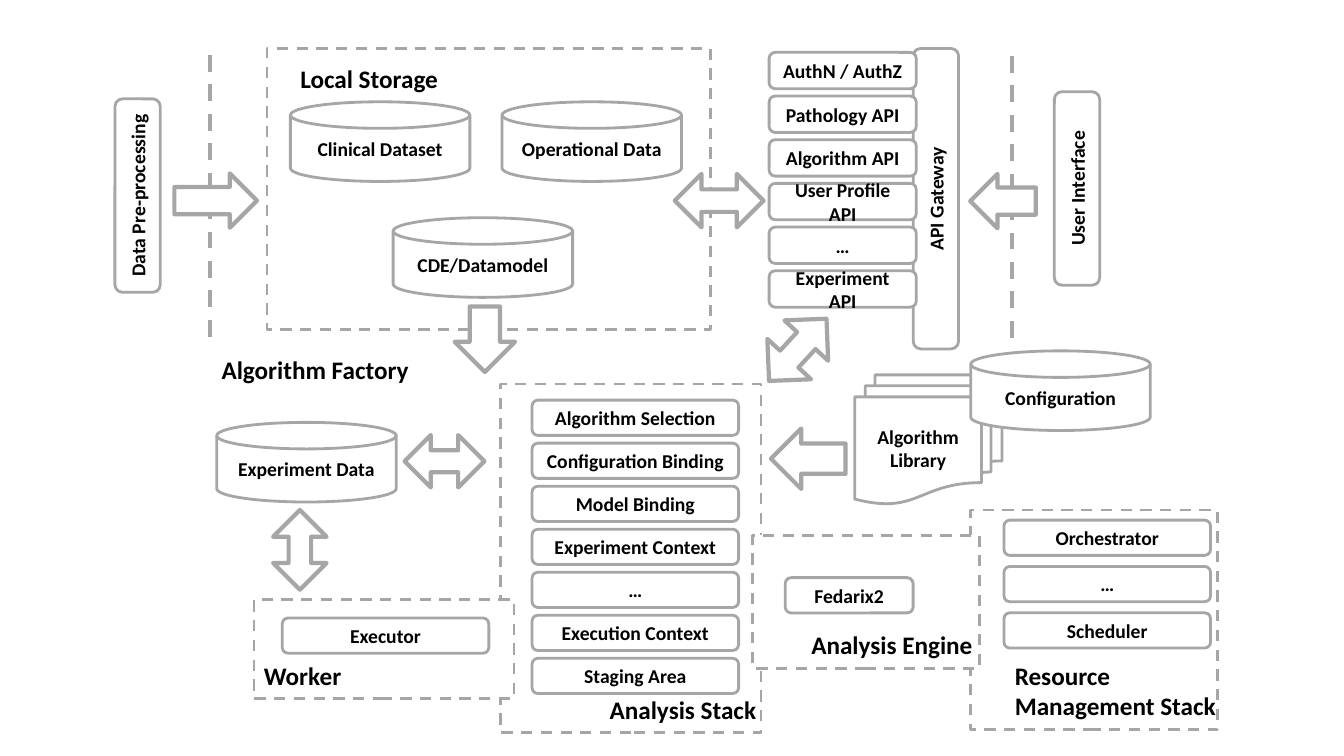
from dataclasses import dataclass

from lxml.etree import SubElement
from pptx import Presentation
from pptx.dml.color import RGBColor
from pptx.enum.dml import MSO_LINE_DASH_STYLE as Dash
from pptx.enum.shapes import MSO_CONNECTOR as Connector, MSO_SHAPE as Preset
from pptx.enum.text import MSO_ANCHOR as Anchor, PP_ALIGN as Align
from pptx.oxml.ns import qn
from pptx.util import Pt


@dataclass(frozen=True)
class Theme:
    font: str = "Calibri"
    ink: RGBColor = RGBColor(0, 0, 0)
    paper: RGBColor = RGBColor(255, 255, 255)
    outline: RGBColor = RGBColor(0xA6, 0xA6, 0xA6)
    body: int = 14
    heading: int = 18
    thin: int = 2
    thick: int = 3


class Diagram:
    """Draws the elements of an architecture diagram on one slide."""

    def __init__(self, slide, theme):
        self.slide, self.theme = slide, theme

    def stroke(self, line, width, dash=None):
        line.color.rgb = self.theme.outline
        for name, value in {"width": Pt(width), "dash_style": dash}.items():
            setattr(line, name, value)

    def label(self, shape, text, size, align, anchor, wrap=True):
        frame = shape.text_frame
        for name, value in {"word_wrap": wrap, "vertical_anchor": anchor}.items():
            setattr(frame, name, value)
        paragraph = frame.paragraphs[0]
        paragraph.alignment = align
        run = paragraph.add_run()
        run.text = text
        for name, value in {"name": self.theme.font, "size": Pt(size), "bold": True}.items():
            setattr(run.font, name, value)
        run.font.color.rgb = self.theme.ink

    def shape(self, preset, box, text="", width=None, dash=None):
        shape = self.slide.shapes.add_shape(preset, *map(Pt, box))
        shape.shadow.inherit = False
        shape.fill.solid()
        shape.fill.fore_color.rgb = self.theme.paper
        self.stroke(shape.line, width or self.theme.thin, dash)
        if text:
            self.label(shape, text, self.theme.body, Align.CENTER, Anchor.MIDDLE)
        return shape

    def frame(self, *box):
        self.shape(Preset.RECTANGLE, box, dash=Dash.DASH)

    def disk(self, text, left, top):
        self.shape(Preset.FLOWCHART_MAGNETIC_DISK, (left, top, 128.2, 56.9), text)

    def card(self, text, left, top, width=147.6, height=25.2):
        self.shape(Preset.ROUNDED_RECTANGLE, (left, top, width, height), text)

    def stack(self, texts, left, top, pitch, **size):
        for index, text in enumerate(texts):
            self.card(text, left, top + index * pitch, **size)

    def bar(self, text, left, top, height=138.2):
        shape = self.shape(Preset.ROUNDED_RECTANGLE, (left, top, 32.4, height), text)
        shape.element.txBody.bodyPr.set("vert", "vert270")

    def arrow(self, preset, rotation, *box):
        shape = self.shape(preset, box, width=self.theme.thick)
        shape.rotation = rotation
        if preset == Preset.UP_DOWN_ARROW:
            shape.adjustments[1] = 0.42

    def divider(self, left, top):
        ends = map(Pt, (left, top + 205.2, left, top))
        line = self.slide.shapes.add_connector(Connector.STRAIGHT, *ends)
        self.stroke(line.line, self.theme.thick, Dash.DASH)
        SubElement(line.element.spPr, qn("a:effectLst"))

    def heading(self, text, left, top, width, height=28.8, wrap=False):
        box = self.slide.shapes.add_textbox(*map(Pt, (left, top, width, height)))
        self.label(box, text, self.theme.heading, Align.LEFT, Anchor.TOP, wrap)


presentation = Presentation()
presentation.slide_width, presentation.slide_height = Pt(960), Pt(540)
slide = presentation.slides.add_slide(presentation.slide_layouts[6])
diagram = Diagram(slide, Theme())

for box in (
    (693.4, 364.3, 176.4, 157),
    (190.8, 34.6, 316.8, 200.9),
    (357.8, 274.3, 185.8, 249.1),
    (181.4, 428.4, 185.8, 70.6),
    (537.8, 382.3, 162, 95),
):
    diagram.frame(*box)

diagram.divider(149.8, 35.3)
diagram.divider(722.9, 36)

diagram.bar("Data Pre-processing", 82.1, 70.6)
diagram.bar("User Interface", 753.1, 65.5)
diagram.bar("API Gateway", 652.3, 34.6, 214.6)

diagram.shape(Preset.FLOWCHART_MULTIDOCUMENT, (610.6, 267.8, 105.1, 92.2), "Algorithm Library")
for text, left, top in (
    ("Clinical Dataset", 207.4, 72.7),
    ("Operational Data", 358.6, 72.7),
    ("CDE/Datamodel", 280.8, 155.5),
    ("Configuration", 693.4, 250.6),
    ("Experiment Data", 154.8, 301.7),
):
    diagram.disk(text, left, top)

apis = ("AuthN / AuthZ", "Pathology API", "Algorithm API", "User Profile API", "…", "Experiment API")
steps = ("Algorithm Selection", "Configuration Binding", "Model Binding", "Experiment Context",
         "…", "Execution Context", "Staging Area")
diagram.stack(apis, 549.4, 37.4, 31.2, width=105.1, height=26)
diagram.stack(steps, 380, 285.8, 30.73)
diagram.stack(("Orchestrator", "…", "Scheduler"), 717.1, 371.5, 33.1)
diagram.card("Executor", 201.6, 441.4)
diagram.card("Fedarix2", 560.9, 412.6, width=91.4)

for preset, rotation, *box in (
    (Preset.UP_ARROW, 90, 134.6, 113.8, 38.9, 59),
    (Preset.UP_ARROW, 180, 324.7, 218.9, 43.2, 46.8),
    (Preset.UP_ARROW, 270, 697, 120.2, 38.9, 46.8),
    (Preset.UP_ARROW, 270, 555.8, 301, 43.2, 53.3),
    (Preset.UP_DOWN_ARROW, 222.7, 548.6, 219.6, 42.5, 60.5),
    (Preset.UP_DOWN_ARROW, 270, 494.6, 111.6, 38.2, 63.4),
    (Preset.UP_DOWN_ARROW, 180, 195.1, 364.3, 38.2, 56.9),
    (Preset.UP_DOWN_ARROW, 270, 298.8, 301, 37.4, 56.9),
):
    diagram.arrow(preset, rotation, *box)

for text, left, top, width in (
    ("Local Storage", 207.4, 41.8, 113.8),
    ("Algorithm Factory", 151.2, 249.8, 149),
    ("Analysis Stack", 428.4, 492.5, 120.2),
    ("Worker", 181.4, 468, 70.6),
    ("Analysis Engine", 572.4, 445.7, 130.3),
):
    diagram.heading(text, left, top, width)
diagram.heading("Resource Management Stack", 717.8, 468, 169.9, 51.1, wrap=True)

presentation.save("out.pptx")
